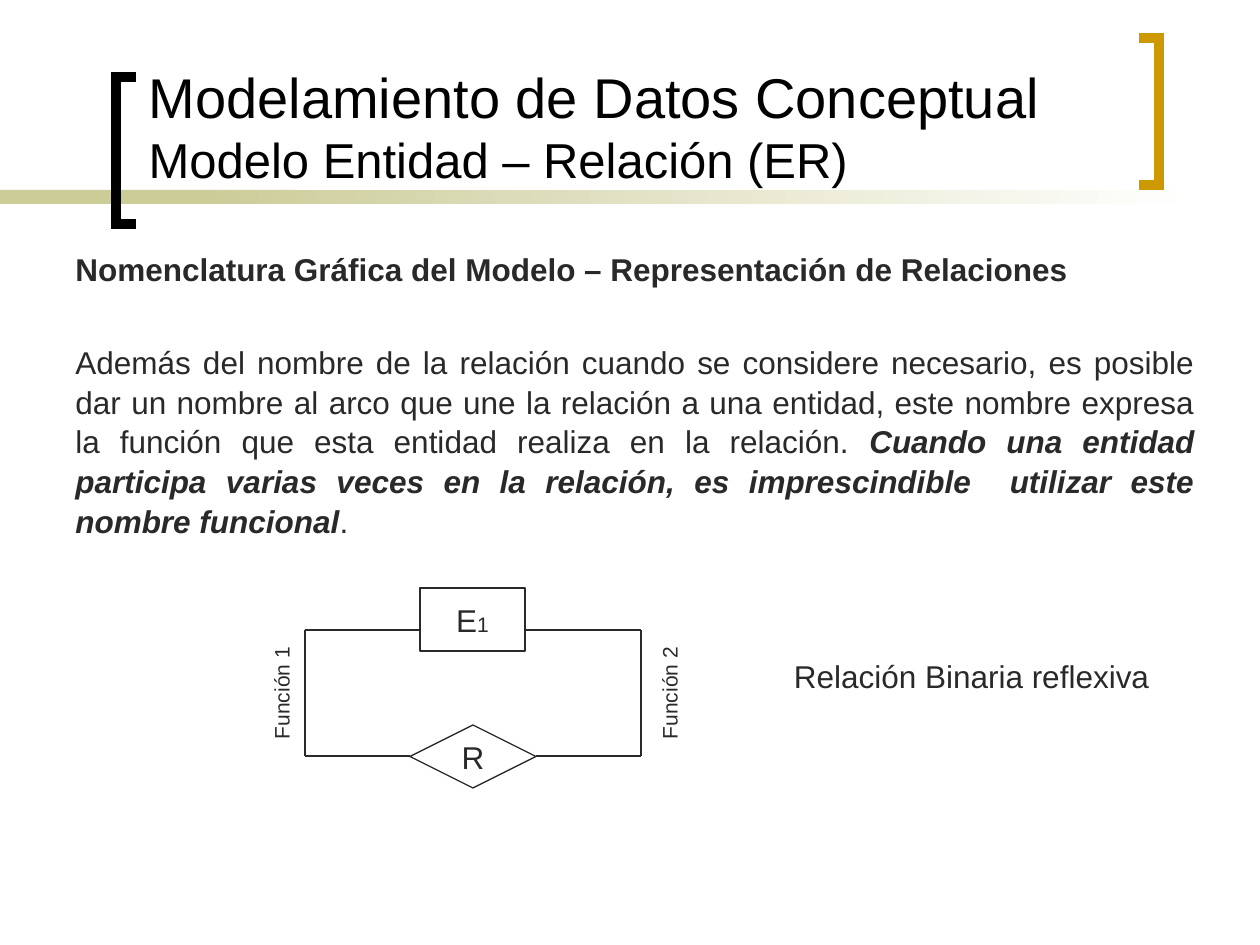
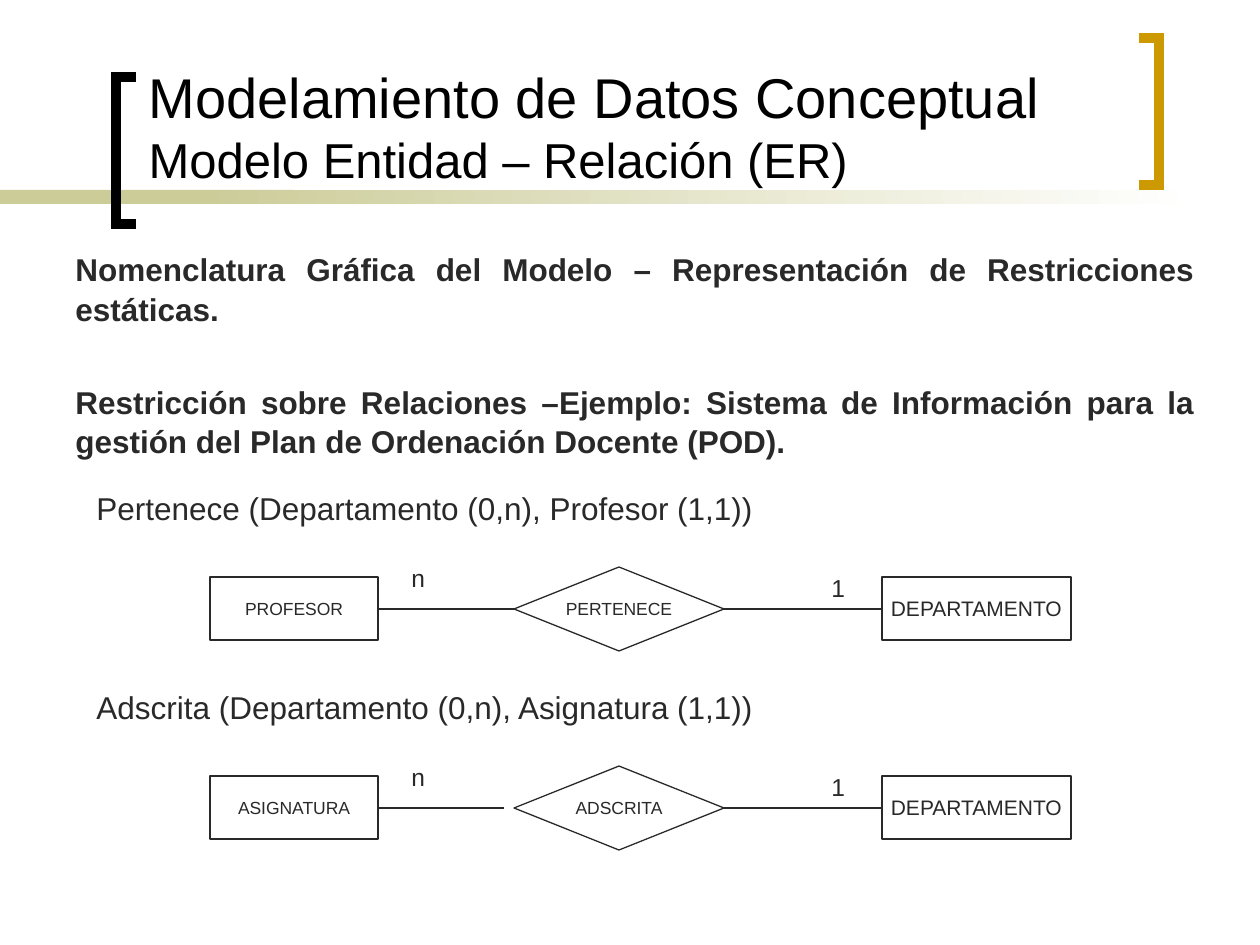
from lxml import etree
from pptx import Presentation
from pptx.dml.color import RGBColor
from pptx.enum.shapes import MSO_CONNECTOR, MSO_SHAPE
from pptx.enum.text import MSO_ANCHOR, MSO_AUTO_SIZE, PP_ALIGN
from pptx.oxml.ns import qn
from pptx.util import Pt

RECT, DIAMOND = MSO_SHAPE.RECTANGLE, MSO_SHAPE.FLOWCHART_DECISION
STRAIGHT = MSO_CONNECTOR.STRAIGHT
LEFT, CENTER, FULL = PP_ALIGN.LEFT, PP_ALIGN.CENTER, PP_ALIGN.JUSTIFY
MIDDLE, BOTTOM = MSO_ANCHOR.MIDDLE, MSO_ANCHOR.BOTTOM
FIXED = MSO_AUTO_SIZE.NONE

SCALE = 914400 / 126
FONT = "Arial"
COLORS = {"ink": "292929", "black": "000000", "gold": "CC9900",
          "sand": "CCCC99", "white": "FFFFFF"}
TITLE = [("Modelamiento de Datos Conceptual", 32),
         ("Modelo Entidad – Relación (ER)", 28)]
ROLES = [("Función 1", -97), ("Función 2", 291)]
HEAD = "Nomenclatura Gráfica del Modelo – Representación de "
NOTE = [
    [(HEAD + "Relaciones", {"bold": True})],
    [("Además del nombre de la relación cuando se considere necesario, es "
      "posible dar un nombre al arco que une la relación a una entidad, este "
      "nombre expresa la función que esta entidad realiza en la relación. ", {}),
     ("Cuando una entidad participa varias veces en la relación, es "
      "imprescindible  utilizar este nombre funcional",
      {"bold": True, "italic": True}),
     (".", {})],
]
RULES = [
    [(HEAD + "Restricciones estáticas.", {"bold": True})],
    [("Restricción sobre Relaciones –Ejemplo: Sistema de Información para la "
      "gestión del Plan de Ordenación Docente (POD).", {"bold": True})],
]
ROWS = [
    (567, "Pertenece (Departamento (0,n), Profesor (1,1))",
     "PROFESOR", "PERTENECE", 514),
    (766, "Adscrita (Departamento (0,n), Asignatura (1,1))",
     "ASIGNATURA", "ADSCRITA", 504),
]


def px(*vals):
    """Turn pixel lengths into EMU."""
    return [round(val * SCALE) for val in vals]


def rgb(name):
    """Look up a palette colour."""
    return RGBColor.from_string(COLORS[name])


def style(item, **vals):
    """Set each given attribute on an object."""
    for key, val in vals.items():
        setattr(item, key, val)


def write(para, text, size, color="ink", **vals):
    """Add one formatted run to a paragraph."""
    run = para.add_run()
    run.text = text
    style(run.font, name=FONT, size=Pt(size), **vals)
    run.font.color.rgb = rgb(color)


def stroke(line, color, width):
    """Colour a line and set its width in points."""
    line.color.rgb = rgb(color)
    line.width = Pt(width)


def node(pen, kind, box, *parts):
    """Draw an outlined shape with centred (text, size) parts."""
    shape = pen.add_shape(kind, *px(*box))
    shape.shadow.inherit = False
    shape.fill.background()
    stroke(shape.line, "ink", 0.75)
    frame = shape.text_frame
    style(frame, word_wrap=False, vertical_anchor=MIDDLE)
    para = frame.paragraphs[0]
    para.alignment = CENTER
    for text, size in parts:
        write(para, text, size)


def label(pen, box, text, size, align=LEFT, turn=0):
    """Place a one-line text box."""
    shape = pen.add_textbox(*px(*box))
    shape.rotation = turn
    shape.text_frame.word_wrap = True
    para = shape.text_frame.paragraphs[0]
    para.alignment = align
    write(para, text, size)


def link(pen, *ends):
    """Draw a straight thin line."""
    line = pen.add_connector(STRAIGHT, *px(*ends))
    stroke(line.line, "ink", 0.75)
    etree.SubElement(line.element.spPr, qn("a:effectLst"))


def band(pen, box):
    """Draw a borderless sand strip and return it."""
    shape = pen.add_shape(RECT, *px(*box))
    shape.shadow.inherit = False
    shape.line.fill.background()
    shape.fill.solid()
    shape.fill.fore_color.rgb = rgb("sand")
    return shape


def bracket(pen, tip, back, top, color):
    """Draw a square bracket from its tips to its back."""
    low = top + 147
    start, *rest = [px(*spot) for spot in
                    ((tip, top), (back, top), (back, low), (tip, low))]
    path = pen.build_freeform(*start)
    path.add_line_segments(rest, close=False)
    shape = path.convert_to_shape()
    shape.shadow.inherit = False
    shape.fill.background()
    stroke(shape.line, color, 6)
    edge = shape.element.spPr.find(qn("a:ln"))
    etree.SubElement(edge, qn("a:miter"), lim="800000")


def master(layout, slide):
    """Build the shared band and brackets and move them to the layout."""
    for spare in list(layout.placeholders)[1:]:
        spare.element.getparent().remove(spare.element)
    pen = slide.shapes
    band(pen, (0, 190, 294, 14))
    fade = band(pen, (199, 190, 998, 14)).fill
    fade.gradient()
    fade.gradient_angle = 0
    for stop, color in zip(fade.gradient_stops, ("sand", "white")):
        stop.color.rgb = rgb(color)
    bracket(pen, 136, 116, 77, "black")
    bracket(pen, 1139, 1159, 38, "gold")
    title = layout.placeholders[0].element
    for shape in list(pen)[1:]:
        title.addprevious(shape.element)


def heading(slide, box):
    """Format the title placeholder with its two lines."""
    shape = slide.shapes.title
    style(shape, **dict(zip(("left", "top", "width", "height"), px(*box))))
    frame = shape.text_frame
    style(frame, auto_size=FIXED, word_wrap=True, vertical_anchor=BOTTOM)
    para = frame.paragraphs[0]
    para.alignment = LEFT
    for spot, (text, size) in enumerate(TITLE):
        if spot:
            para.add_line_break()
        write(para, text, size, "black")


def body(slide, box, paras):
    """Write justified paragraphs with a wide gap between them."""
    frame = slide.shapes.add_textbox(*px(*box)).text_frame
    frame.word_wrap = True
    for spot, runs in enumerate(paras):
        para = frame.add_paragraph() if spot else frame.paragraphs[0]
        style(para, alignment=FULL, line_spacing=1.05,
              space_before=Pt(30.5 if spot else 0))
        for text, vals in runs:
            write(para, text, 18, **vals)


def cycle(slide, box):
    """Draw an entity tied twice to one relation."""
    x, y, w, h = box
    pen = slide.shapes
    top, low, mid = y + 42, y + h - 32, x + w // 2
    node(pen, RECT, (mid - 53, y, 105, 63), ("E", 18), ("1", 12))
    node(pen, DIAMOND, (mid - 63, y + h - 63, 126, 63), ("R", 18))
    for side, edge in ((-1, x), (1, x + w)):
        link(pen, edge, top, mid + side * 53, top)
        link(pen, edge, top, edge, low)
        link(pen, edge, low, mid + side * 63, low)
    for text, shift in ROLES:
        label(pen, (x + shift, y + 86, 147, 38), text, 12, CENTER, 270)


def row(slide, box, rule, left, verb, reach):
    """Draw a rule and its entity, relation and department chain."""
    x, y, w, h = box
    label(slide.shapes, (84, y - 84, 714, 50), rule, 18, FULL)
    pen = slide.shapes.add_group_shape().shapes
    mid, end = y + h // 2, x + w - 189
    node(pen, RECT, (x, y + 10, 168, 63), (left, 10))
    node(pen, RECT, (end, y + 10, 189, 63), ("DEPARTAMENTO", 12))
    node(pen, DIAMOND, (x + 304, y, 210, h), (verb, 10))
    link(pen, x + 168, mid, reach, mid)
    link(pen, x + 514, mid, end, mid)
    label(pen, (x + 189, y - 10, 53, 43), "n", 14)
    label(pen, (end - 63, y, 53, 43), "1", 14)


def main():
    """Build both slides and save the deck."""
    deck = Presentation()
    deck.slide_width, deck.slide_height = px(1260, 945)
    layout = deck.slide_layouts[5]
    first, second = [deck.slides.add_slide(layout) for _ in range(2)]
    master(layout, first)
    for slide, high, paras in ((first, 305, NOTE), (second, 231, RULES)):
        heading(slide, (136, 0, 1008, 195))
        body(slide, (63, 242, 1144, high), paras)
    cycle(first, (305, 588, 336, 200))
    label(first.shapes, (735, 651, 473, 50), "Relación Binaria reflexiva", 18,
          CENTER)
    for y, *parts in ROWS:
        row(second, (210, y, 861, 84), *parts)
    deck.save("out.pptx")


if __name__ == "__main__":
    main()
